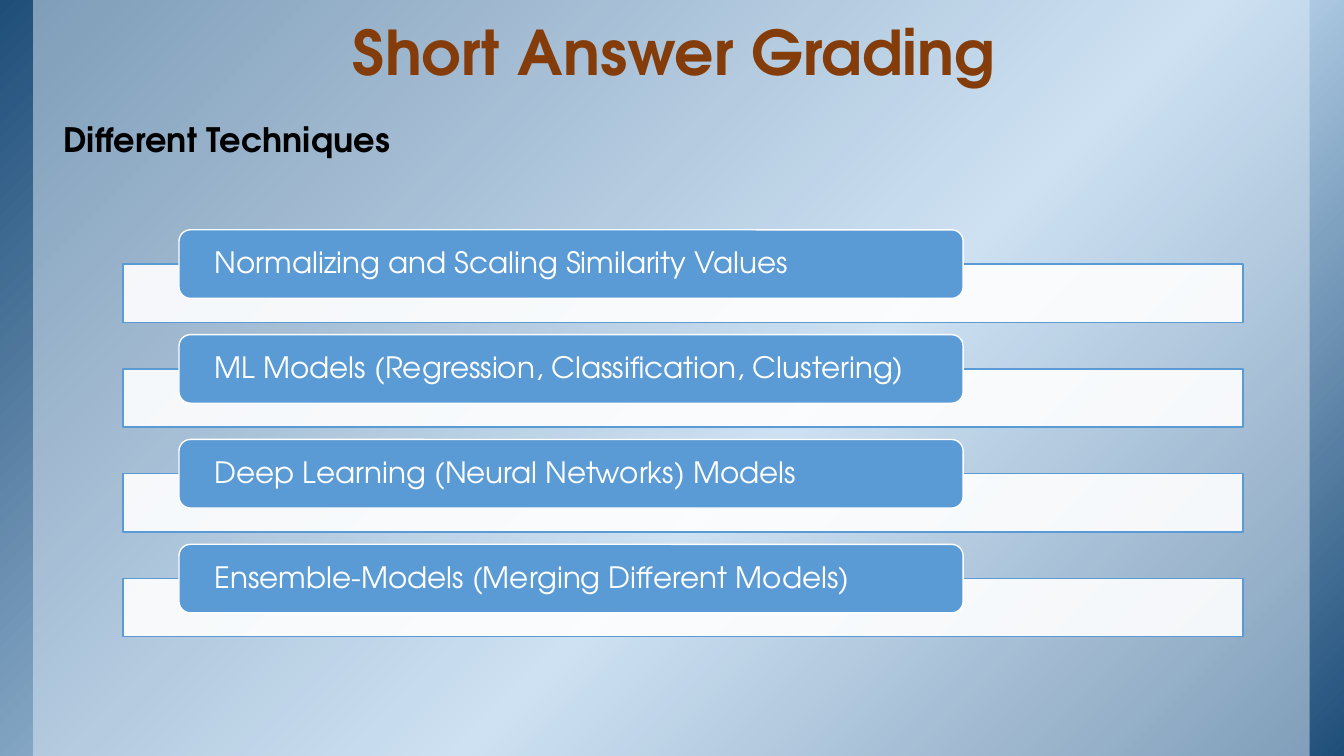
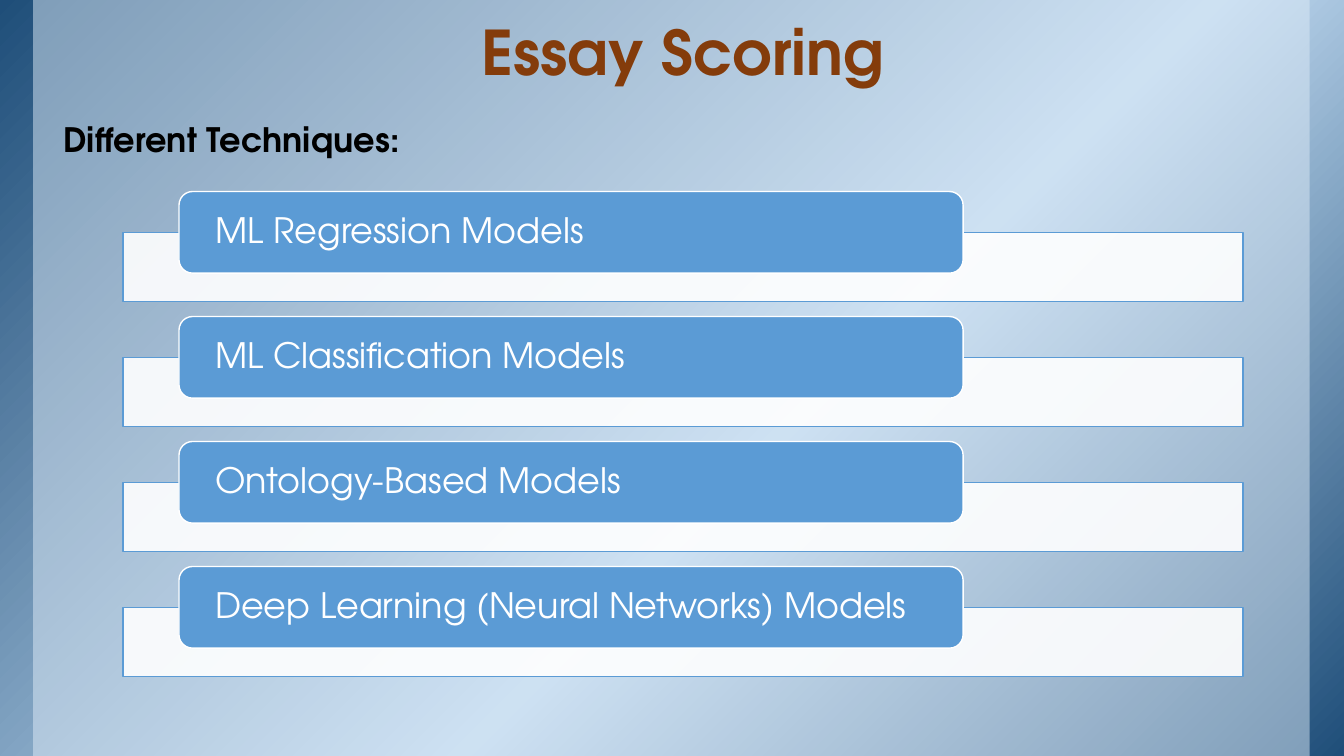
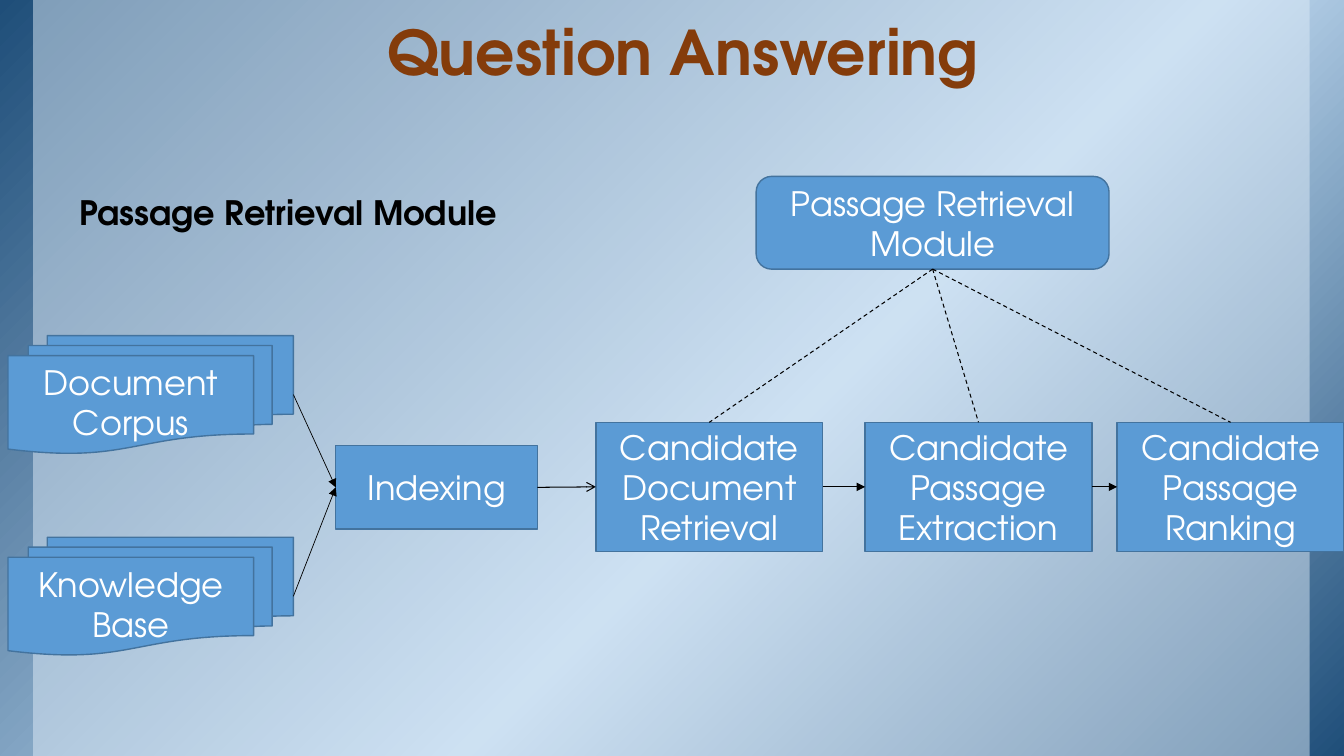
import pptx
import pptx.util
import pptx.dml.color
import pptx.enum.dml
import pptx.enum.shapes
import pptx.enum.text
import pptx.oxml
import pptx.oxml.ns
import lxml.etree

Inches = pptx.util.Inches
Pt = pptx.util.Pt
qn = pptx.oxml.ns.qn
SHAPE = pptx.enum.shapes.MSO_SHAPE
ANCHOR = pptx.enum.text.MSO_ANCHOR
ALIGN = pptx.enum.text.PP_ALIGN
DASH = pptx.enum.dml.MSO_LINE.DASH

FONT = "TeX Gyre Adventor"
NAVY, SKY, PALE = "1F4E79", "BDD7EE", "DEEBF7"
BLUE, EDGE = "5B9BD5", "43739E"
BROWN, GREEN, BLACK, WHITE = "843C0B", "385723", "000000", "FFFFFF"
TOP, LEFT, BOTTOM, RIGHT = range(4)


def rgb(value):
    return pptx.dml.color.RGBColor.from_string(value)


def set_insets(frame, horizontal, vertical):
    frame.margin_left = frame.margin_right = Inches(horizontal)
    frame.margin_top = frame.margin_bottom = Inches(vertical)


def write(frame, text, size, color, bold=False, align=ALIGN.LEFT,
          anchor=ANCHOR.MIDDLE, spacing=1.0):
    frame.text = text
    frame.word_wrap = True
    frame.vertical_anchor = anchor
    paragraph = frame.paragraphs[0]
    paragraph.alignment = align
    paragraph.line_spacing = spacing
    font = paragraph.runs[0].font
    font.name, font.size, font.bold = FONT, Pt(size), bold
    font.color.rgb = rgb(color)


def add_box(slide, kind, left, top, width, height, fill, line=None, opacity=100):
    box = slide.shapes.add_shape(
        kind, Inches(left), Inches(top), Inches(width), Inches(height))
    box.shadow.inherit = False
    box.fill.solid()
    box.fill.fore_color.rgb = rgb(fill)
    if opacity < 100:
        color = box._element.spPr.find(qn("a:solidFill"))[0]
        lxml.etree.SubElement(color, qn("a:alpha"), val=str(opacity * 1000))
    if line:
        box.line.color.rgb = rgb(line)
        box.line.width = Pt(1)
    else:
        box.line.fill.background()
    return box


def apply_gradient(shape, stops, angle):
    gradient = lxml.etree.Element(qn("a:gradFill"), rotWithShape="1")
    stop_list = lxml.etree.SubElement(gradient, qn("a:gsLst"))
    for position, color in stops:
        stop = lxml.etree.SubElement(stop_list, qn("a:gs"), pos=str(position * 1000))
        lxml.etree.SubElement(stop, qn("a:srgbClr"), val=color)
    lxml.etree.SubElement(gradient, qn("a:lin"), ang=str(angle * 60000), scaled="0")
    properties = shape._element.spPr
    properties.replace(properties.find(qn("a:solidFill")), gradient)


def set_master_backdrop(prs, slide):
    backdrop = add_box(slide, SHAPE.RECTANGLE, 0, 0, 13.33, 7.5, NAVY)
    apply_gradient(backdrop, [(0, NAVY), (58, SKY), (100, NAVY)], 45)
    panel = add_box(slide, SHAPE.RECTANGLE, 0.33, 0, 12.66, 7.5, PALE, opacity=50)
    master_tree = prs.slide_master.shapes._spTree
    for index, layer in enumerate((backdrop, panel)):
        master_tree.insert(2 + index, layer._element)


def add_titled_slide(prs, text):
    slide = prs.slides.add_slide(prs.slide_layouts[5])
    title = slide.shapes.title
    title.left, title.top = Inches(1.22), Inches(0.08)
    title.width, title.height = Inches(11.11), Inches(0.86)
    set_insets(title.text_frame, 0.13, 0.07)
    write(title.text_frame, text, 44, BROWN, True, ALIGN.CENTER, ANCHOR.BOTTOM, 0.85)
    return slide


def add_heading(slide, text, left, top, width, bullet, indent):
    heading = slide.shapes.add_textbox(
        Inches(left), Inches(top), Inches(width), Inches(0.6))
    frame = heading.text_frame
    set_insets(frame, 0.13, 0.07)
    frame.text = text
    properties = frame.paragraphs[0]._p.get_or_add_pPr()
    properties.set("marL", str(Inches(indent)))
    properties.set("indent", str(Inches(-0.33)))
    bullet_color = lxml.etree.SubElement(properties, qn("a:buClr"))
    lxml.etree.SubElement(bullet_color, qn("a:srgbClr"), val=GREEN)
    lxml.etree.SubElement(properties, qn("a:buFont"), typeface="Arial")
    lxml.etree.SubElement(properties, qn("a:buChar"), char=bullet)
    write(frame, text, 24, BLACK, True, anchor=ANCHOR.TOP, spacing=0.95)


def add_technique_list(slide, techniques, left, top, width, tab_height, pitch, size):
    for index, technique in enumerate(techniques):
        tab_top = top + index * pitch
        add_box(slide, SHAPE.RECTANGLE, left, tab_top + tab_height / 2,
                width, tab_height * 0.85, WHITE, BLUE, 90)
        tab = add_box(slide, SHAPE.ROUNDED_RECTANGLE, left + width * 0.05, tab_top,
                      width * 0.7, tab_height, BLUE, WHITE)
        set_insets(tab.text_frame, 0.32, 0)
        write(tab.text_frame, technique, size, WHITE, spacing=0.9)


def add_techniques_slide(slide, heading, techniques, top, tab_height, pitch, size):
    add_heading(slide, heading, 0.5, 1.14, 12.17, "•", 0.33)
    add_technique_list(slide, techniques, 1.22, top, 11.11, tab_height, pitch, size)


def add_node(slide, kind, text, left, top, width, height):
    node = add_box(slide, kind, left, top, width, height, BLUE, EDGE)
    write(node.text_frame, text, 24, WHITE, align=ALIGN.CENTER)
    return node


def connect(slide, start, start_side, end, end_side, width=0.5, head=None, dash=None):
    link = slide.shapes.add_connector(
        pptx.enum.shapes.MSO_CONNECTOR.STRAIGHT, 0, 0, 0, 0)
    link.begin_connect(start, start_side)
    link.end_connect(end, end_side)
    link.line.color.rgb = rgb(BLACK)
    link.line.width = Pt(width)
    if dash:
        link.line.dash_style = dash
    if head:
        lxml.etree.SubElement(link.line._get_or_add_ln(), qn("a:tailEnd"), type=head)
    lxml.etree.SubElement(link._element.spPr, qn("a:effectLst"))


def add_retrieval_diagram(slide, left, top):
    sources = [
        add_node(slide, SHAPE.FLOWCHART_MULTIDOCUMENT, text,
                 left, top + 1.58 + 2 * index, 2.83, 1.17)
        for index, text in enumerate(("Document Corpus", "Knowledge Base"))]
    indexing = add_node(slide, SHAPE.RECTANGLE, "Indexing",
                        left + 3.25, top + 2.67, 2, 0.83)
    module = add_node(slide, SHAPE.ROUNDED_RECTANGLE, "Passage Retrieval Module",
                      left + 7.42, top, 3.5, 0.92)
    steps = [
        add_node(slide, SHAPE.RECTANGLE, "Candidate " + text,
                 left + offset, top + 2.44, 2.25, 1.28)
        for text, offset in (("Document Retrieval", 5.83),
                             ("Passage Extraction", 8.5),
                             ("Passage Ranking", 11))]

    for source in sources:
        connect(slide, source, RIGHT, indexing, LEFT, head="triangle")
    connect(slide, indexing, RIGHT, steps[0], LEFT, 0.75, "arrow")
    for step, following in zip(steps, steps[1:]):
        connect(slide, step, RIGHT, following, LEFT, head="triangle")
    for step in steps:
        connect(slide, module, BOTTOM, step, TOP, 0.75, dash=DASH)


def main():
    prs = pptx.Presentation()
    prs.slide_width, prs.slide_height = Inches(13.33), Inches(7.5)

    grading = add_titled_slide(prs, "Short Answer Grading ")
    set_master_backdrop(prs, grading)
    add_techniques_slide(grading, "Different Techniques", [
        "Normalizing and Scaling Similarity Values",
        "ML Models (Regression, Classification, Clustering)",
        "Deep Learning (Neural Networks) Models",
        "Ensemble-Models (Merging Different Models)",
    ], 2.28, 0.68, 1.04, 21)

    scoring = add_titled_slide(prs, "Essay Scoring")
    add_techniques_slide(scoring, "Different Techniques:", [
        "ML Regression Models",
        "ML Classification Models",
        "Ontology-Based Models",
        "Deep Learning (Neural Networks) Models",
    ], 1.9, 0.81, 1.24, 25)

    answering = add_titled_slide(prs, "Question Answering")
    add_heading(answering, "Passage Retrieval Module", 0.66, 1.86, 6, "➢", 0.8)
    add_retrieval_diagram(answering, 0.08, 1.75)

    prs.save("out.pptx")


if __name__ == "__main__":
    main()
